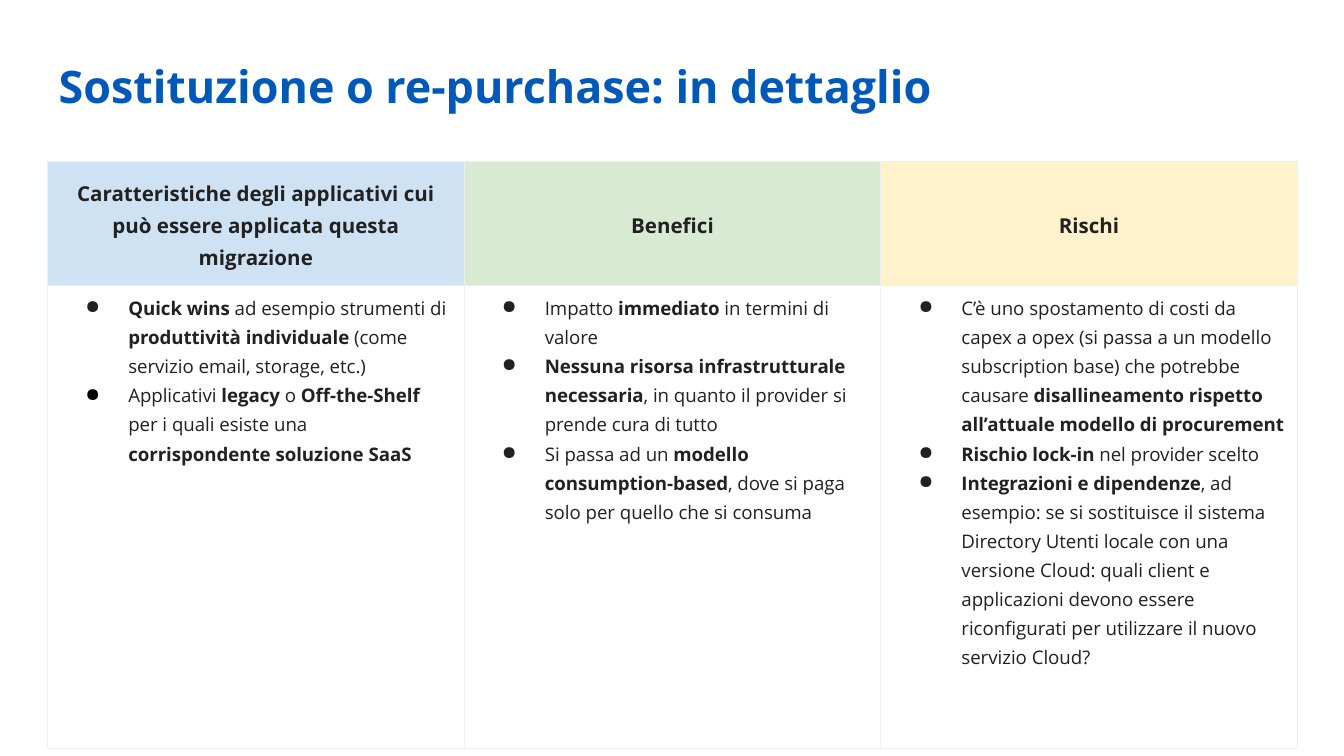
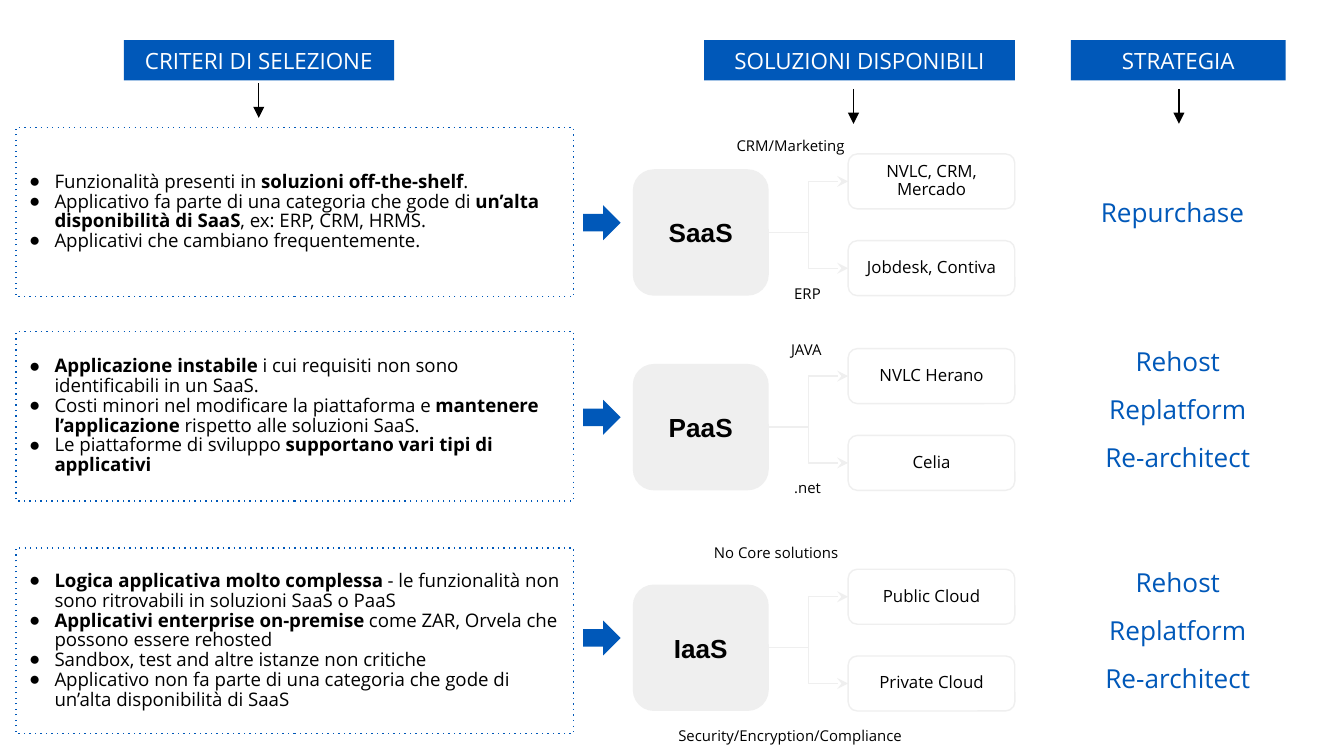
from dataclasses import dataclass
from itertools import cycle
from lxml.etree import SubElement
from pptx import Presentation
from pptx.dml.color import RGBColor
from pptx.enum.shapes import MSO_CONNECTOR, MSO_SHAPE
from pptx.enum.text import MSO_ANCHOR, MSO_AUTO_SIZE, PP_ALIGN
from pptx.oxml.ns import qn
from pptx.util import Cm, Pt

BLUE, GREY, INK, BLACK, WHITE = "0058B9", "EFEFEF", "212121", "000000", "FFFFFF"
LEFT, MID = PP_ALIGN.LEFT, PP_ALIGN.CENTER
THIN = 0.74


def tint(code):
    return RGBColor.from_string(code)


def put(item, **form):
    for key, val in form.items():
        setattr(item, key, val)


def node(home, tag, **attrs):
    return SubElement(home, qn(tag), attrs)


@dataclass
class Deck:
    show: object
    page: object = None
    face: str = "Open Sans"

    def start(self, num):
        self.page = self.show.slides.add_slide(self.show.slide_layouts[num])

    # Text: ** marks the start and end of bold
    def fill_in(self, frame, lines, size, hue=BLACK, face=None, align=LEFT,
                gap=1.0, hang=None, dots=(BLACK,)):
        for i, (line, dot) in enumerate(zip(lines, cycle(dots))):
            para = frame.add_paragraph() if i else frame.paragraphs[0]
            put(para, alignment=align, line_spacing=gap,
                space_before=Pt(0), space_after=Pt(0))
            if hang:
                self.bullet(para, hang, dot)
            for j, part in enumerate(line.split("**")):
                if part:
                    run = para.add_run()
                    run.text = part
                    put(run.font, name=face or self.face, size=Pt(size),
                        bold=j % 2 == 1)
                    run.font.color.rgb = tint(hue)

    def bullet(self, para, hang, dot):
        left, back = hang
        prop = para._p.get_or_add_pPr()
        prop.set("marL", str(Cm(left)))
        prop.set("indent", str(-Cm(back)))
        node(node(prop, "a:buClr"), "a:srgbClr", val=dot)
        node(prop, "a:buChar", char="●")

    def frame(self, shape, anchor):
        pad = Cm(0.25)
        put(shape.text_frame, word_wrap=True, auto_size=MSO_AUTO_SIZE.NONE,
            vertical_anchor=anchor, margin_left=pad, margin_right=pad,
            margin_top=pad, margin_bottom=pad)
        return shape.text_frame

    def move(self, shape, box):
        put(shape, **dict(zip(("left", "top", "width", "height"), map(Cm, box))))

    # Placeholders
    def title(self, text, box):
        shape = self.page.shapes.title
        self.move(shape, box)
        self.fill_in(self.frame(shape, MSO_ANCHOR.TOP), [f"**{text}**"], 24, BLUE)

    def panel(self, shape, box, lines):
        self.move(shape, box)
        self.edge(shape, BLUE)
        node(shape._element.spPr.find(qn("a:ln")), "a:prstDash", val="dot")
        self.fill_in(self.frame(shape, MSO_ANCHOR.MIDDLE), lines, 10,
                     gap=0.88, hang=(0.48, 0.48))

    def prune(self):
        for shape in list(self.page.placeholders):
            if not shape.text_frame.text:
                shape._element.getparent().remove(shape._element)

    # Shapes, labels and lines
    def edge(self, shape, hue):
        shape.line.color.rgb = tint(hue)
        shape.line.width = Pt(THIN)

    def block(self, kind, box, text="", fill=None, edge=None, **form):
        shape = self.page.shapes.add_shape(kind, *map(Cm, box))
        shape.shadow.inherit = False
        if fill:
            shape.fill.solid()
            shape.fill.fore_color.rgb = tint(fill)
        else:
            shape.fill.background()
        if edge:
            self.edge(shape, edge)
        else:
            shape.line.fill.background()
        if text:
            self.fill_in(self.frame(shape, MSO_ANCHOR.MIDDLE), [text],
                         align=MID, **form)
        return shape

    def label(self, box, text, anchor=MSO_ANCHOR.TOP, **form):
        shape = self.page.shapes.add_textbox(*map(Cm, box))
        self.fill_in(self.frame(shape, anchor), [text], **form)

    def line(self, kind, ends, hue, head):
        link = self.page.shapes.add_connector(kind, *map(Cm, ends))
        self.edge(link, hue)
        prop = link._element.spPr
        node(prop.find(qn("a:ln")), "a:tailEnd", type=head)
        node(prop, "a:effectLst")
        return link

    def join(self, first, last):
        link = self.line(MSO_CONNECTOR.ELBOW, (0, 0, 1, 1), GREY, "stealth")
        link.begin_connect(first, 3)
        link.end_connect(last, 1)

    # Table
    def table(self, box, rows, heads, lists):
        grid = self.page.shapes.add_table(2, len(heads), *map(Cm, box)).table
        put(grid, first_row=False, horz_banding=False)
        for row, tall in zip(grid.rows, rows):
            row.height = Cm(tall)
        for col, ((text, fill), (lines, dots)) in enumerate(zip(heads, lists)):
            top, low = grid.cell(0, col), grid.cell(1, col)
            top.vertical_anchor = MSO_ANCHOR.MIDDLE
            top.fill.solid()
            top.fill.fore_color.rgb = tint(fill)
            low.fill.background()
            self.fill_in(top.text_frame, [f"**{text}**"], 11, INK,
                         align=MID, gap=1.15)
            self.fill_in(low.text_frame, lines, 10, INK, gap=1.15,
                         hang=(1.27, 0.81), dots=dots)
            for cell in (top, low):
                self.border(cell)

    def border(self, cell):
        prop = cell._tc.get_or_add_tcPr()
        for i, side in enumerate("LRTB"):
            rule = node(prop, f"a:ln{side}", w=str(Pt(THIN)))
            node(node(rule, "a:solidFill"), "a:srgbClr", val=GREY)
            prop.insert(i, rule)


show = Presentation()
put(show, slide_width=Cm(25.4), slide_height=Cm(14.29))
deck = Deck(show)

# Slide 1: title and table
deck.start(5)
deck.title("Sostituzione o re-purchase: in dettaglio", (0.86, 0.86, 23.67, 1.6))
heads = [
    ("Caratteristiche degli applicativi cui può essere applicata questa migrazione",
     "CFE2F3"),
    ("Benefici", "D9EAD3"),
    ("Rischi", "FFF2CC"),
]
lists = [
    (["**Quick wins** ad esempio strumenti di **produttività individuale** "
      "(come servizio email, storage, etc.)",
      "Applicativi **legacy** o **Off-the-Shelf** per i quali esiste una "
      "**corrispondente soluzione SaaS**"], (INK, BLACK)),
    (["Impatto **immediato** in termini di valore",
      "**Nessuna risorsa infrastrutturale necessaria**, in quanto il provider "
      "si prende cura di tutto",
      "Si passa ad un **modello consumption-based**, dove si paga solo per "
      "quello che si consuma"], (INK,)),
    (["C’è uno spostamento di costi da capex a opex (si passa a un modello "
      "subscription base) che potrebbe causare **disallineamento rispetto "
      "all’attuale modello di procurement**",
      "**Rischio lock-in** nel provider scelto",
      "**Integrazioni e dipendenze**, ad esempio: se si sostituisce il sistema "
      "Directory Utenti locale con una versione Cloud: quali client e "
      "applicazioni devono essere riconfigurati per utilizzare il nuovo "
      "servizio Cloud?"], (INK,)),
]
deck.table((0.9, 3.05, 23.62, 11.1), (2.34, 8.76), heads, lists)

# Slide 2: column heads with their arrows
deck.start(4)
for text, left, wide, mid, top in [
    ("CRITERI DI SELEZIONE", 2.34, 5.11, 4.89, 1.57),
    ("SOLUZIONI DISPONIBILI", 13.31, 5.87, 16.13, 1.68),
    ("STRATEGIA", 20.24, 4.06, 22.28, 1.68),
]:
    deck.block(MSO_SHAPE.RECTANGLE, (left, 0.76, wide, 0.76), text, BLUE,
               size=12, hue=WHITE)
    deck.line(MSO_CONNECTOR.STRAIGHT, (mid, top, mid, top + 0.66),
              BLACK, "triangle")

# One row per cloud model: model, its top, panel top and height, criteria,
# solutions, labels (text, left, offset, width, alignment)
rows = [
    ("SaaS", 3.2, 2.41, 3.2,
     ["Funzionalità presenti in **soluzioni off-the-shelf**.",
      "Applicativo fa parte di una categoria che gode di **un’alta "
      "disponibilità di SaaS**, ex: ERP, CRM, HRMS.",
      "Applicativi che cambiano frequentemente."],
     ["NVLC, CRM, Mercado", "Jobdesk, Contiva"],
     [("CRM/Marketing", 13.67, -0.86, 2.74, LEFT),
      ("ERP", 14.76, 1.93, 1.47, LEFT)]),
    ("PaaS", 6.88, 6.27, 3.2,
     ["**Applicazione instabile** i cui requisiti non sono identificabili "
      "in un SaaS.",
      "Costi minori nel modificare la piattaforma e **mantenere "
      "l’applicazione** rispetto alle soluzioni SaaS.",
      "Le piattaforme di sviluppo **supportano vari tipi di applicativi**"],
     ["NVLC Herano", "Celia"],
     [("JAVA", 13.87, -0.69, 2.74, MID),
      (".net", 14.76, 1.91, 1.47, LEFT)]),
    ("IaaS", 11.05, 10.36, 3.51,
     ["**Logica applicativa molto complessa** - le funzionalità non sono "
      "ritrovabili in soluzioni SaaS o PaaS",
      "**Applicativi enterprise on-premise** come ZAR, Orvela che possono "
      "essere rehosted",
      "Sandbox, test and altre istanze non critiche",
      "Applicativo non fa parte di una categoria che gode di un’alta "
      "disponibilità di SaaS"],
     ["Public Cloud", "Private Cloud"],
     [("No Core solutions", 12.88, -1.02, 3.58, MID),
      ("Security/Encryption/Compliance", 12.57, 2.44, 4.8, LEFT)]),
]
slots = [s for s in deck.page.placeholders if s.placeholder_format.idx in (1, 2, 3)]
for slot, (model, top, start, tall, items, tools, notes) in zip(slots, rows):
    deck.panel(slot, (0.3, start, 10.54, tall), items)
    deck.block(MSO_SHAPE.RIGHT_ARROW, (11.02, top + 0.68, 0.71, 0.66), fill=BLUE)
    root = deck.block(MSO_SHAPE.ROUNDED_RECTANGLE, (11.96, top, 2.57, 2.39),
                      f"**{model}**", GREY, size=14, face="Arial")
    for i, tool in enumerate(tools):
        leaf = deck.block(MSO_SHAPE.ROUNDED_RECTANGLE,
                          (16.03, top - 0.29 + 1.64 * i, 3.15, 1.04),
                          tool, edge=GREY, size=9, gap=0.9)
        deck.join(root, leaf)
    for text, left, shift, wide, align in notes:
        deck.label((left, top + shift, wide, 0.66), text, size=8, align=align)
deck.prune()

# Strategies
full = ["Rehost", "Replatform", "Re-architect"]
for left, top, names in [(19.81, 3.38, ["Repurchase"]),
                         (19.91, 6.2, full), (19.91, 10.38, full)]:
    for i, name in enumerate(names):
        deck.label((left, top + 0.91 * i, 4.7, 1.24), name, MSO_ANCHOR.MIDDLE,
                   size=14, hue=BLUE, align=MID)

show.save("out.pptx")
